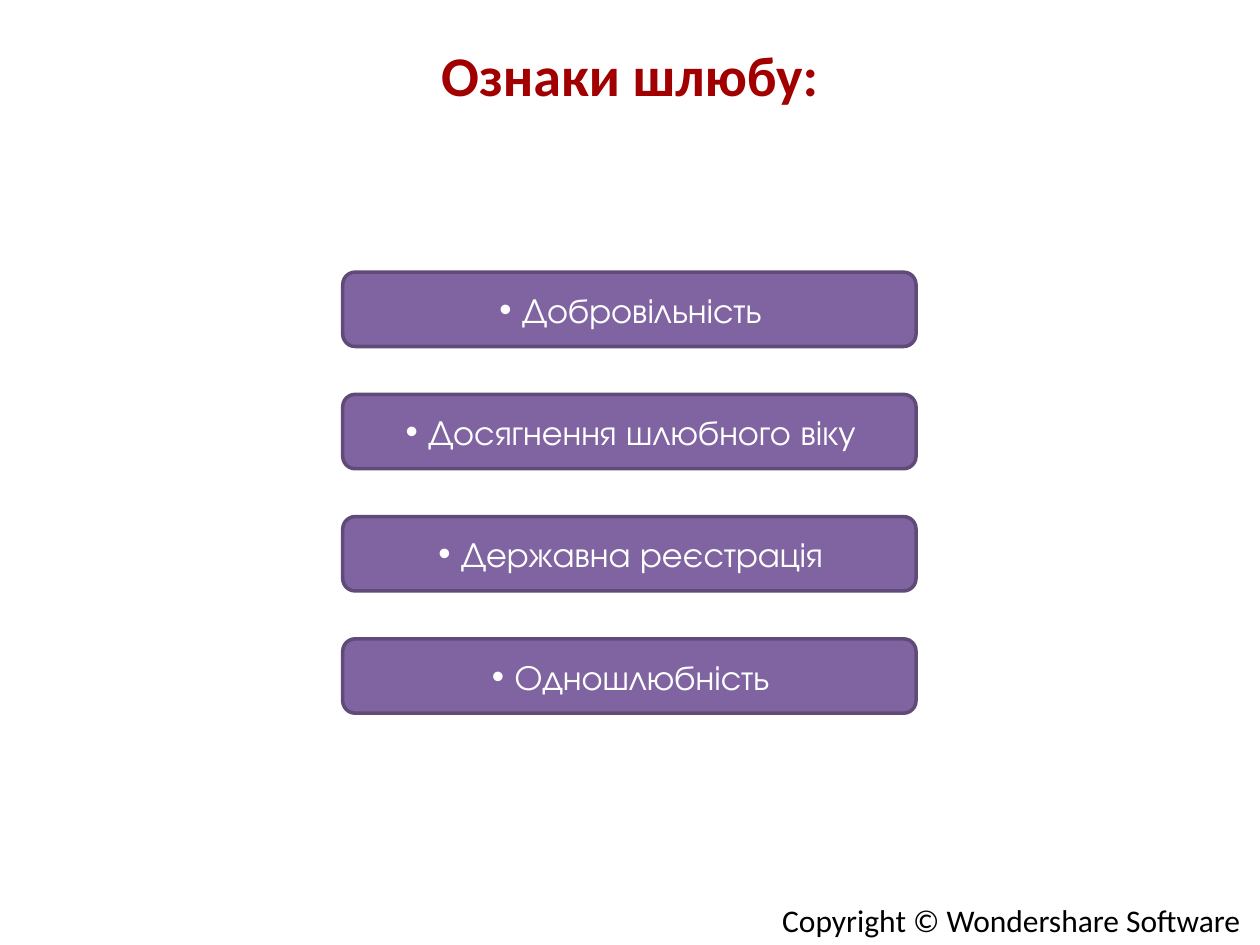
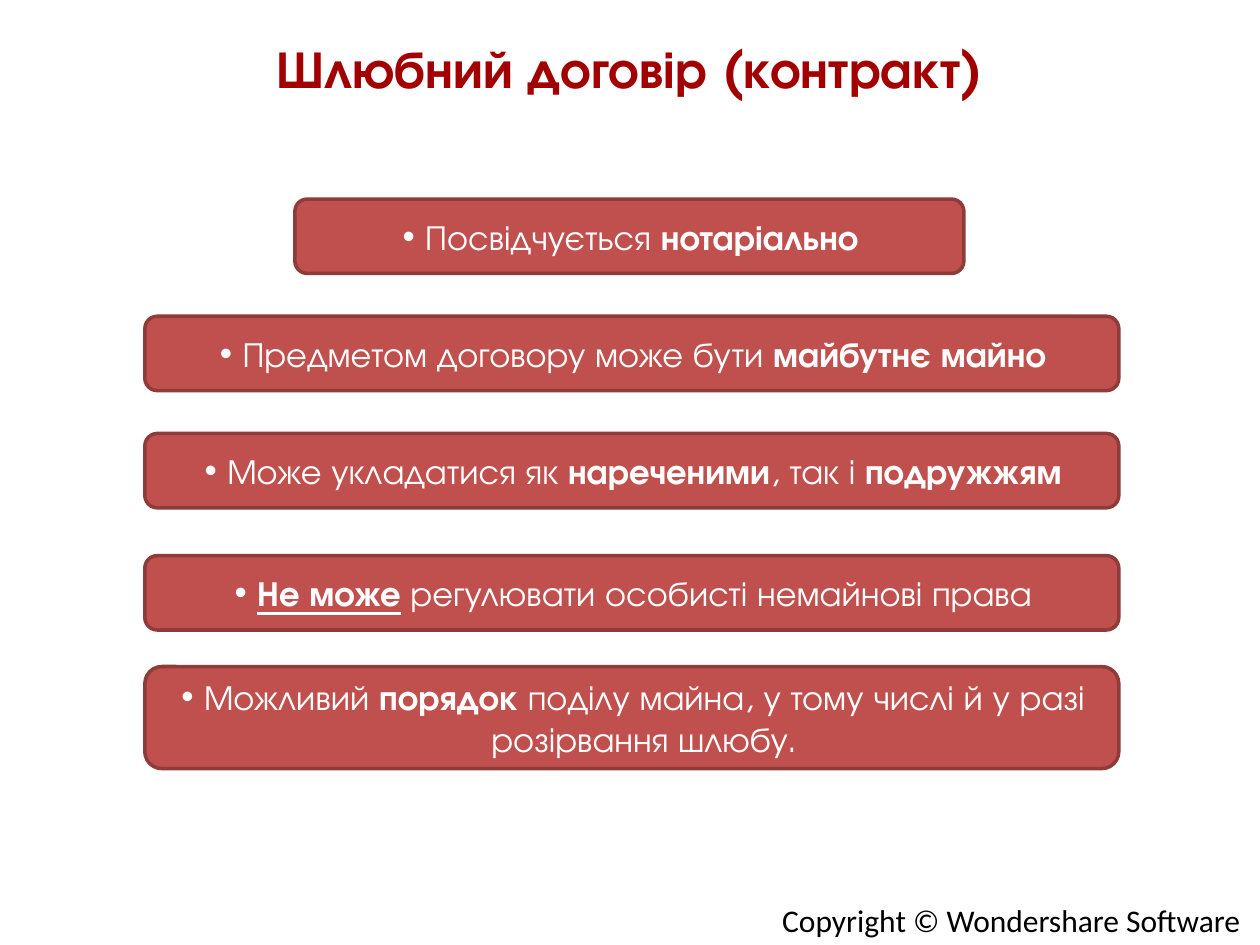
from dataclasses import dataclass

import pptx
import pptx.dml.color
import pptx.enum.shapes
import pptx.enum.text
import pptx.oxml.ns
import pptx.util
from lxml import etree

Inches = pptx.util.Inches
Pt = pptx.util.Pt
Align = pptx.enum.text.PP_ALIGN
Anchor = pptx.enum.text.MSO_ANCHOR

COPYRIGHT = "Copyright © Wondershare Software"

# Each bar lists its runs as (text, style); style is "", "b" (bold) or "bu" (bold, underlined).
SIGNS = [
    [("Добровільність", "")],
    [("Досягнення шлюбного віку", "")],
    [("Державна реєстрація", "")],
    [("Одношлюбність", "")],
]
CONTRACT = [
    [("Посвідчується ", ""), ("нотаріально", "b")],
    [("Предметом договору може бути ", ""), ("майбутнє майно", "b")],
    [("Може укладатися як ", ""), ("нареченими", "b"), (", так і ", ""), ("подружжям", "b")],
    [("Не може", "bu"), (" регулювати особисті немайнові права", "")],
    [("Можливий ", ""), ("порядок ", "b"),
     ("поділу майна, у тому числі й у разі розірвання шлюбу.", "")],
]


@dataclass(frozen=True)
class Theme:
    plain_font: str = "Calibri"
    display_font: str = "TeX Gyre Adventor"
    title_color: str = "A20000"
    footer_color: str = "000000"
    bar_text: str = "FFFFFF"
    purple: tuple = ("8064A2", "5F4A78")
    red: tuple = ("C0504D", "8E3B39")
    bar_size: int = 20
    footer_size: int = 18
    bar_line: int = 2


THEME = Theme()
BAR_HEIGHT = 0.59
TALL_BAR_HEIGHT = 0.81

# Bars are placed as (left, top, width, height).
SIGN_PLACES = [(2.72, 2.16 + 0.97 * row, 4.55, BAR_HEIGHT) for row in range(len(SIGNS))]
CONTRACT_PLACES = [(2.34, 1.58, 5.31, BAR_HEIGHT)] + [
    (1.15, top, 7.73, height)
    for top, height in [(2.51, BAR_HEIGHT), (3.44, BAR_HEIGHT),
                        (4.41, BAR_HEIGHT), (5.29, TALL_BAR_HEIGHT)]
]

PAGES = [
    dict(title="Ознаки шлюбу:", title_font=THEME.plain_font, title_size=32, title_top=0.15,
         colors=THEME.purple, bars=SIGNS, places=SIGN_PLACES),
    dict(title="Шлюбний договір (контракт)", title_font=THEME.display_font, title_size=30,
         title_top=0.1, colors=THEME.red, bars=CONTRACT, places=CONTRACT_PLACES),
]


def rgb(value):
    return pptx.dml.color.RGBColor.from_string(value)


def add_run(para, text, font, size, color, style=""):
    span = para.add_run()
    span.text = text
    span.font.name = font
    span.font.size = Pt(size)
    span.font.color.rgb = rgb(color)
    span.font.bold = "b" in style
    span.font.underline = "u" in style


def add_bullet(para):
    """Give the paragraph a round bullet with a hanging indent."""
    properties = para._p.get_or_add_pPr()
    properties.set("marL", str(Inches(0.2)))
    properties.set("indent", str(Inches(-0.18)))
    etree.SubElement(properties, pptx.oxml.ns.qn("a:buFont")).set("typeface", "Arial")
    etree.SubElement(properties, pptx.oxml.ns.qn("a:buChar")).set("char", "•")


def add_title(page, text, font, size, top):
    box = page.shapes.add_textbox(Inches(0.5), Inches(top), Inches(9), Inches(0.87))
    box.text_frame.word_wrap = True
    box.text_frame.vertical_anchor = Anchor.MIDDLE
    para = box.text_frame.paragraphs[0]
    para.alignment = Align.CENTER
    add_run(para, text, font, size, THEME.title_color, "b")


def add_footer(page):
    box = page.shapes.add_textbox(Inches(6.11), Inches(7.1), Inches(3.89), Inches(0.4))
    box.text_frame.word_wrap = False
    add_run(box.text_frame.paragraphs[0], COPYRIGHT, THEME.plain_font,
            THEME.footer_size, THEME.footer_color)


def add_bar(page, place, runs, colors):
    fill, line = colors
    bar = page.shapes.add_shape(pptx.enum.shapes.MSO_SHAPE.ROUNDED_RECTANGLE,
                                *(Inches(length) for length in place))
    bar.shadow.inherit = False
    bar.fill.solid()
    bar.fill.fore_color.rgb = rgb(fill)
    bar.line.color.rgb = rgb(line)
    bar.line.width = Pt(THEME.bar_line)
    bar.text_frame.word_wrap = True
    bar.text_frame.vertical_anchor = Anchor.MIDDLE
    para = bar.text_frame.paragraphs[0]
    para.alignment = Align.CENTER
    add_bullet(para)
    for text, style in runs:
        add_run(para, text, THEME.display_font, THEME.bar_size, THEME.bar_text, style)


def main():
    deck = pptx.Presentation()
    deck.slide_width, deck.slide_height = Inches(10), Inches(7.5)
    blank = deck.slide_layouts[6]
    for content in PAGES:
        page = deck.slides.add_slide(blank)
        add_footer(page)
        add_title(page, content["title"], content["title_font"],
                  content["title_size"], content["title_top"])
        for place, runs in zip(content["places"], content["bars"]):
            add_bar(page, place, runs, content["colors"])
    deck.save("out.pptx")


if __name__ == "__main__":
    main()
